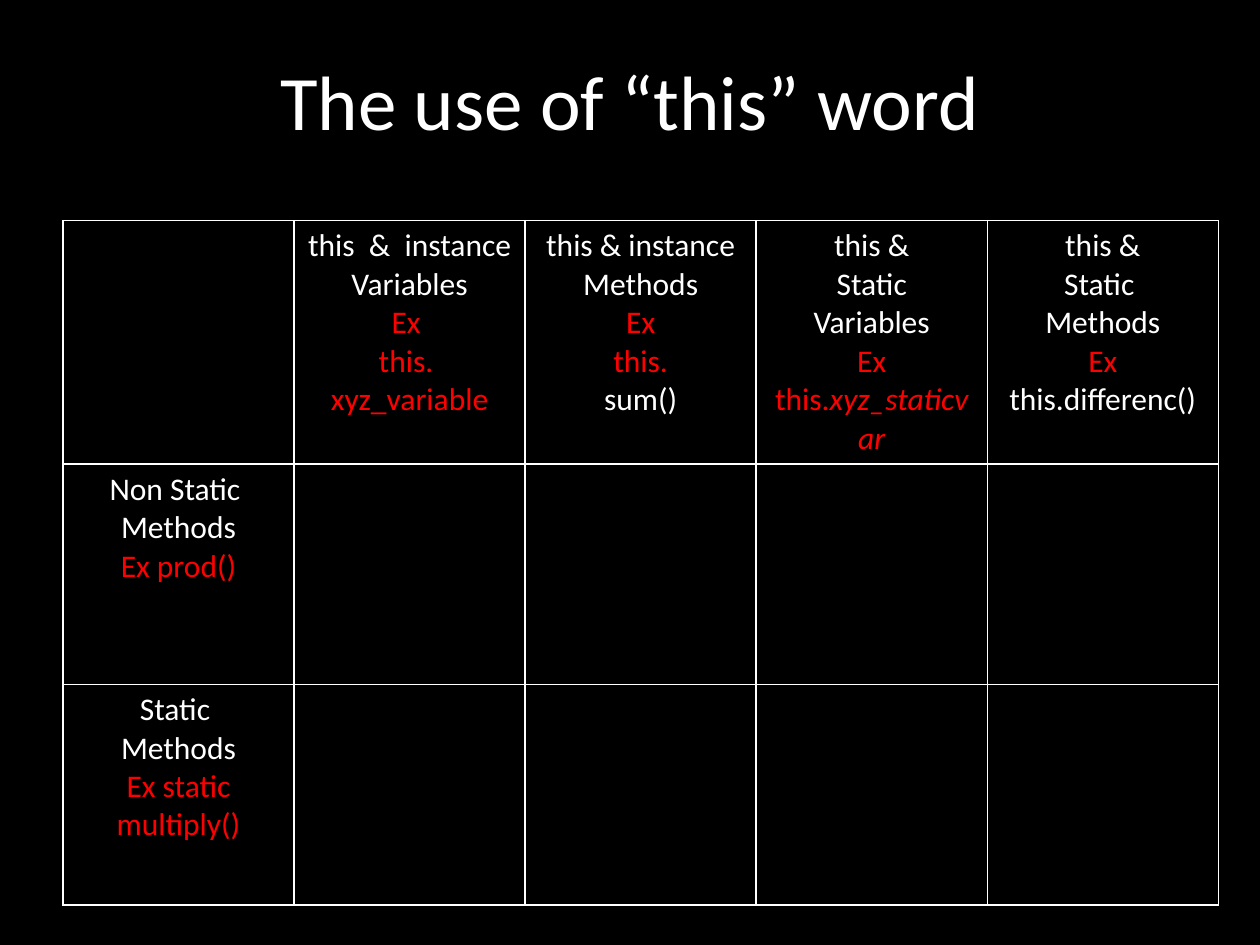
from lxml import etree
from pptx import Presentation
from pptx.dml.color import RGBColor
from pptx.enum.text import MSO_ANCHOR, PP_ALIGN
from pptx.oxml import parse_xml
from pptx.oxml.ns import nsdecls
from pptx.util import Inches, Pt

COLORS = {"black": "000000", "white": "FFFFFF", "red": "FF0000"}

# Each cell is a list of paragraphs: (colour, plain text, optional italic text)
CELLS = {
    (0, 1): [("white", "this  &  instance Variables"), ("red", "Ex "),
             ("red", "this.  xyz_variable")],
    (0, 2): [("white", "this & instance"), ("white", "Methods"), ("red", "Ex"),
             ("red", "this."), ("white", "sum()")],
    (0, 3): [("white", "this &"), ("white", "Static"), ("white", "Variables"),
             ("red", "Ex"), ("red", "this.", "xyz_staticvar")],
    (0, 4): [("white", "this &"), ("white", "Static "), ("white", "Methods"),
             ("red", "Ex"), ("white", "this.differenc()")],
    (1, 0): [("white", "Non Static "), ("white", "Methods"), ("red", "Ex prod()")],
    (2, 0): [("white", "Static "), ("white", "Methods"),
             ("red", "Ex static multiply()")],
}


def style_run(r, size, color):
    r.font.name = "Calibri"
    r.font.size = Pt(size)
    r.font.bold = False
    r.font.color.rgb = RGBColor.from_string(COLORS[color])


def add_borders(cell):
    tc_pr = cell._tc.get_or_add_tcPr()
    for side in ("lnL", "lnR", "lnT", "lnB"):
        tc_pr.append(parse_xml(
            f'<a:{side} {nsdecls("a")} w="{Pt(1)}"><a:solidFill>'
            f'<a:srgbClr val="{COLORS["white"]}"/></a:solidFill></a:{side}>'))


prs = Presentation()
prs.slide_width, prs.slide_height = Inches(10), Inches(7.5)
s = prs.slides.add_slide(prs.slide_layouts[5])
s.background.fill.solid()
s.background.fill.fore_color.rgb = RGBColor.from_string(COLORS["black"])

title = s.shapes.title
title.left, title.top = Inches(0.5), Inches(0.17)
title.width, title.height = Inches(9), Inches(1.25)
tf = title.text_frame
tf.text = "The use of “this” word"
tf.vertical_anchor = MSO_ANCHOR.MIDDLE
tf.paragraphs[0].alignment = PP_ALIGN.CENTER
style_run(tf.paragraphs[0].runs[0], 44, "white")

table = s.shapes.add_table(3, 5, Inches(0.5), Inches(1.75),
                           Inches(9.17), Inches(5.25)).table
table.first_row = table.horz_banding = False
for row in table.rows:
    row.height = Inches(1.75)

for cell in table.iter_cells():
    add_borders(cell)
    cell.fill.solid()
    cell.fill.fore_color.rgb = RGBColor.from_string(COLORS["black"])

for (row, col), lines in CELLS.items():
    tf = table.cell(row, col).text_frame
    tf.text = "\n".join(plain for _, plain, *_ in lines)
    for p, (color, _, *italic) in zip(tf.paragraphs, lines):
        p.alignment = PP_ALIGN.CENTER
        for text in italic:
            r = p.add_run()
            r.text = text
            r.font.italic = True
        for r in p.runs:
            style_run(r, 18, color)

prs.save("out.pptx")
